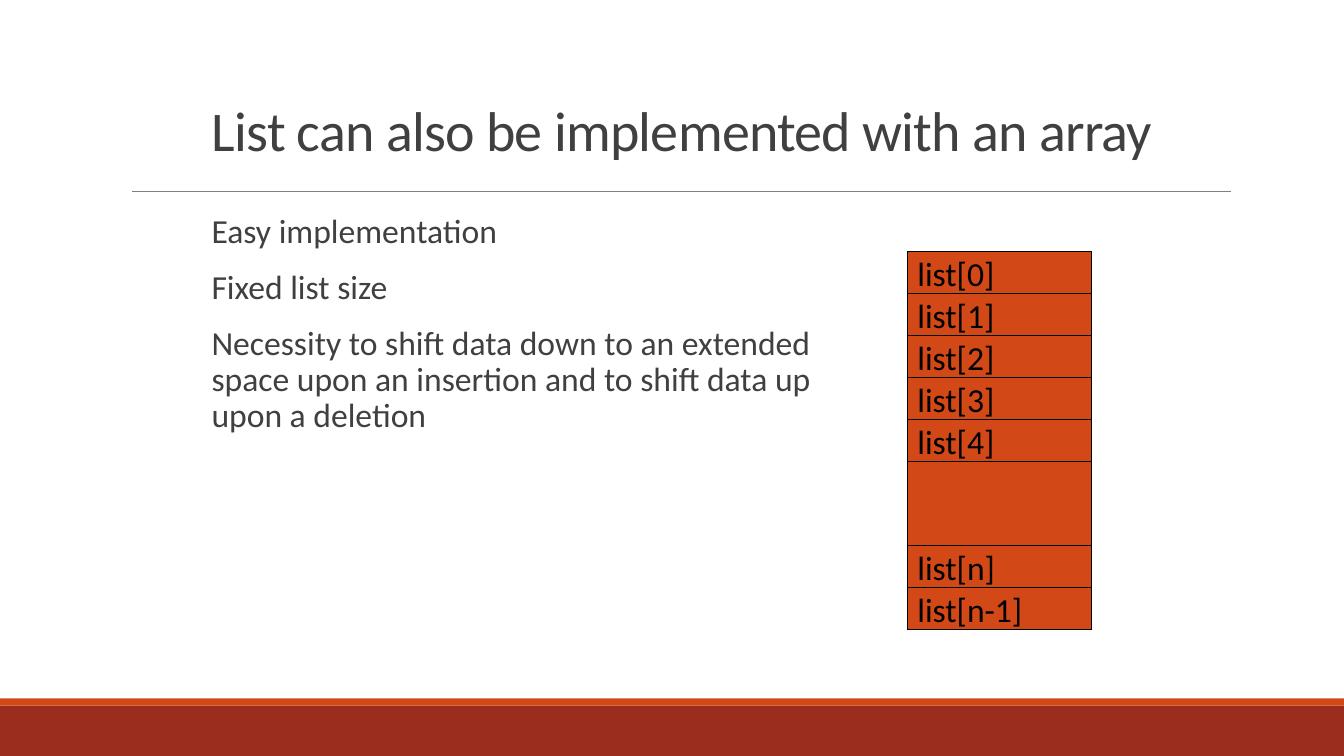
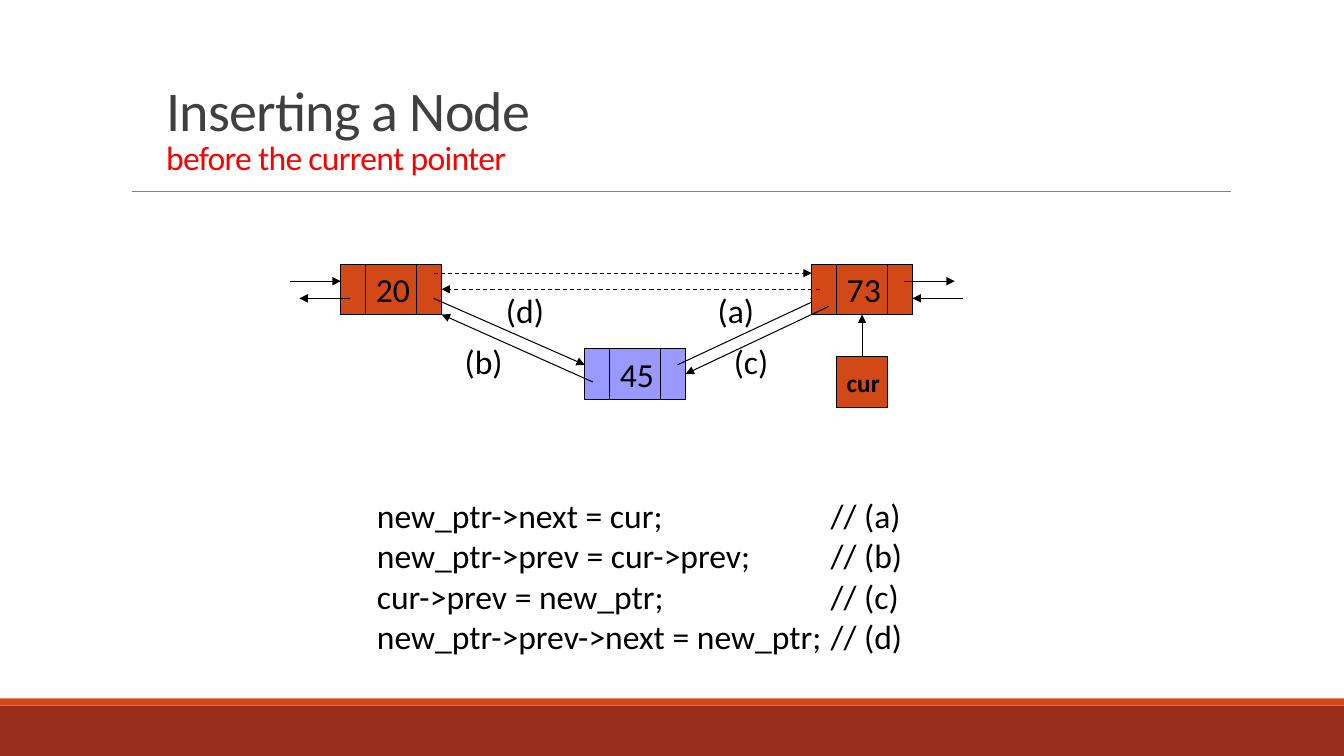
from dataclasses import dataclass

from lxml import etree
from pptx import Presentation
from pptx.dml.color import RGBColor
from pptx.enum.dml import MSO_LINE
from pptx.enum.shapes import MSO_CONNECTOR, MSO_SHAPE
from pptx.enum.text import MSO_ANCHOR
from pptx.oxml.ns import qn
from pptx.util import Inches, Pt

RECTANGLE = MSO_SHAPE.RECTANGLE
STRAIGHT = MSO_CONNECTOR.STRAIGHT
DASH = MSO_LINE.DASH
TOP, MIDDLE, BOTTOM = MSO_ANCHOR.TOP, MSO_ANCHOR.MIDDLE, MSO_ANCHOR.BOTTOM

WHITE = RGBColor(0xFF, 0xFF, 0xFF)
BLACK = RGBColor(0x00, 0x00, 0x00)
CHARCOAL = RGBColor(0x40, 0x40, 0x40)
GRAY = RGBColor(0x80, 0x80, 0x80)
RED = RGBColor(0xFF, 0x00, 0x00)
BRICK = RGBColor(0x9B, 0x2D, 0x1F)
ORANGE = RGBColor(0xD3, 0x48, 0x17)
LAVENDER = RGBColor(0x99, 0x99, 0xFF)

FONT = "Calibri"
PAGE_WIDTH, PAGE_HEIGHT = 13.33, 7.5
CELL_SIZE = 0.5
LINK_WIDTH = CELL_SIZE / 2


@dataclass(frozen=True)
class Node:
    value: str
    left: float
    top: float
    fill: RGBColor = ORANGE


@dataclass(frozen=True)
class Arrow:
    start: tuple[float, float]
    end: tuple[float, float]
    dashed: bool = False


@dataclass(frozen=True)
class Label:
    text: str
    left: float
    top: float


# Shared drawing helpers

def set_font(font, size: float, color: RGBColor, bold: bool = False) -> None:
    font.name = FONT
    font.size = Pt(size)
    font.bold = bold
    font.color.rgb = color


def add_rectangle(shapes, left: float, top: float, width: float, height: float,
                  fill: RGBColor, outlined: bool = True):
    box = shapes.add_shape(RECTANGLE, Inches(left), Inches(top), Inches(width), Inches(height))
    box.shadow.inherit = False
    box.fill.solid()
    box.fill.fore_color.rgb = fill
    if outlined:
        box.line.color.rgb = BLACK
        box.line.width = Pt(0.75)
    else:
        box.line.fill.background()
    return box


def write_lines(frame, lines: list[str], size: float = 24, color: RGBColor = BLACK,
                bold: bool = False) -> None:
    for index, text in enumerate(lines):
        para = frame.add_paragraph() if index else frame.paragraphs[0]
        para.text = text
        para.alignment = 1
        set_font(para.font, size, color, bold)


def add_cell(shapes, text: str, left: float, top: float, width: float, height: float,
             fill: RGBColor = ORANGE, size: float = 24, bold: bool = False) -> None:
    frame = add_rectangle(shapes, left, top, width, height, fill).text_frame
    frame.word_wrap = False
    frame.vertical_anchor = MIDDLE
    write_lines(frame, [text], size, bold=bold)


def add_text_frame(page, left: float, top: float, width: float, height: float,
                   anchor=TOP, wrap: bool = True):
    box = page.shapes.add_textbox(Inches(left), Inches(top), Inches(width), Inches(height))
    box.text_frame.word_wrap = wrap
    box.text_frame.vertical_anchor = anchor
    return box.text_frame


def add_line(page, start: tuple[float, float], end: tuple[float, float],
             color: RGBColor = BLACK, width: float = 0.75):
    line = page.shapes.add_connector(STRAIGHT, *(Inches(value) for value in (*start, *end)))
    line.line.color.rgb = color
    line.line.width = Pt(width)
    etree.SubElement(line._element.spPr, qn("a:effectLst"))
    return line


def add_arrow(page, arrow: Arrow) -> None:
    line = add_line(page, arrow.start, arrow.end)
    if arrow.dashed:
        line.line.dash_style = DASH
    etree.SubElement(line.line._get_or_add_ln(), qn("a:tailEnd"), type="triangle")


def add_node(page, node: Node) -> None:
    shapes = page.shapes.add_group_shape().shapes
    value_left = node.left + LINK_WIDTH
    add_cell(shapes, node.value, value_left, node.top, CELL_SIZE, CELL_SIZE, node.fill)
    for left in (value_left + CELL_SIZE, node.left):
        add_rectangle(shapes, left, node.top, LINK_WIDTH, CELL_SIZE, node.fill)


def add_page(deck, title: str, left: float, top: float, width: float, subtitle: str = ""):
    page = deck.slides.add_slide(deck.slide_layouts[6])
    page.background.fill.solid()
    page.background.fill.fore_color.rgb = WHITE
    # Footer bands and title rule
    add_rectangle(page.shapes, 0, 7, PAGE_WIDTH, 0.5, BRICK, outlined=False)
    add_rectangle(page.shapes, 0, 6.93, PAGE_WIDTH, 0.07, ORANGE, outlined=False)
    add_line(page, (1.31, 1.9), (12.21, 1.9), GRAY, 0.5)
    # Title
    para = add_text_frame(page, left, top, width, 1.25, BOTTOM).paragraphs[0]
    para.line_spacing = 0.85
    spans = [(title, 40, CHARCOAL)]
    if subtitle:
        spans.append((subtitle, 24, RED))
    for index, (text, size, color) in enumerate(spans):
        if index:
            para.add_line_break()
        span = para.add_run()
        span.text = text
        set_font(span.font, size, color)
        span.font._element.set("spc", "-50")
    return page


# Slide 1: array implementation

ARRAY_POINTS = [
    "Easy implementation",
    "Fixed list size",
    "Necessity to shift data down to an extended space upon an insertion "
    "and to shift data up upon a deletion",
]
ARRAY_SLOTS = {0: "list[0]", 1: "list[1]", 2: "list[2]", 3: "list[3]", 4: "list[4]",
               7: "list[n]", 8: "list[n-1]"}
ARRAY_LEFT, ARRAY_TOP, ARRAY_WIDTH, ARRAY_HEIGHT = 9, 2.5, 1.83, 3.75
SLOT_HEIGHT = ARRAY_HEIGHT / 9


def build_array_page(deck) -> None:
    page = add_page(deck, "List can also be implemented with an array", 2, 0.42, 9.71)
    frame = add_text_frame(page, 2, 2.08, 6.5, 4.42)
    frame.margin_left, frame.margin_right = Inches(0.1), Inches(0)
    write_lines(frame, ARRAY_POINTS, color=CHARCOAL)
    for para in frame.paragraphs:
        para.line_spacing = 0.9
        para.space_before, para.space_after = Pt(12), Pt(2)

    add_rectangle(page.shapes, ARRAY_LEFT, ARRAY_TOP, ARRAY_WIDTH, ARRAY_HEIGHT, ORANGE)
    for slot, text in ARRAY_SLOTS.items():
        add_cell(page.shapes, text, ARRAY_LEFT, ARRAY_TOP + slot * SLOT_HEIGHT,
                 ARRAY_WIDTH, SLOT_HEIGHT)


# Slide 2: insertion into a doubly linked list

NEW_NODE = Node("45", 5.8, 3.46, LAVENDER)
LIST_NODES = [Node("73", 8.05, 2.62), Node("20", 3.38, 2.62)]
ARROWS_BEHIND = [
    Arrow((6.72, 3.62), (8.13, 2.96)),
    Arrow((5.88, 3.79), (4.38, 3.12)),
]
ARROWS_IN_FRONT = [
    Arrow((8.97, 2.79), (9.47, 2.79)),
    Arrow((8.13, 2.87), (4.38, 2.87), dashed=True),
    Arrow((9.55, 2.96), (9.05, 2.96)),
    Arrow((4.3, 2.71), (8.05, 2.71), dashed=True),
    Arrow((3.47, 2.96), (2.97, 2.96)),
    Arrow((2.88, 2.79), (3.38, 2.79)),
    Arrow((8.22, 3.04), (6.8, 3.71)),
    Arrow((4.3, 2.96), (5.8, 3.62)),
    Arrow((8.55, 3.54), (8.55, 3.12)),
]
STEP_LABELS = [Label("(a)", 7.02, 2.83), Label("(b)", 4.51, 3.33),
               Label("(c)", 7.18, 3.33), Label("(d)", 4.92, 2.83)]
CODE_LINES = [
    "new_ptr->next = cur;\t// (a)",
    "new_ptr->prev = cur->prev;\t// (b)",
    "cur->prev = new_ptr;\t// (c)",
    "new_ptr->prev->next = new_ptr;\t// (d)",
]


def build_insertion_page(deck) -> None:
    page = add_page(deck, "Inserting a Node", 1.55, 0.56, 8.5, "before the current pointer")
    # Nodes and pointers
    add_node(page, NEW_NODE)
    for arrow in ARROWS_BEHIND:
        add_arrow(page, arrow)
    for node in LIST_NODES:
        add_node(page, node)
    add_cell(page.shapes, "cur", 8.3, 3.54, CELL_SIZE, CELL_SIZE, size=18, bold=True)
    for arrow in ARROWS_IN_FRONT:
        add_arrow(page, arrow)
    for label in STEP_LABELS:
        frame = add_text_frame(page, label.left, label.top, 0.58, 0.5, wrap=False)
        write_lines(frame, [label.text])
    # Code with comments aligned on one tab stop
    frame = add_text_frame(page, 3.64, 4.86, 5.6, 1.72)
    write_lines(frame, CODE_LINES)
    for para in frame.paragraphs:
        tabs = etree.Element(qn("a:tabLst"))
        etree.SubElement(tabs, qn("a:tab"), pos=str(Inches(4.5)), algn="l")
        para._p.get_or_add_pPr().insert(0, tabs)


def main() -> None:
    deck = Presentation()
    deck.slide_width, deck.slide_height = Inches(PAGE_WIDTH), Inches(PAGE_HEIGHT)
    build_array_page(deck)
    build_insertion_page(deck)
    deck.save("out.pptx")


if __name__ == "__main__":
    main()
